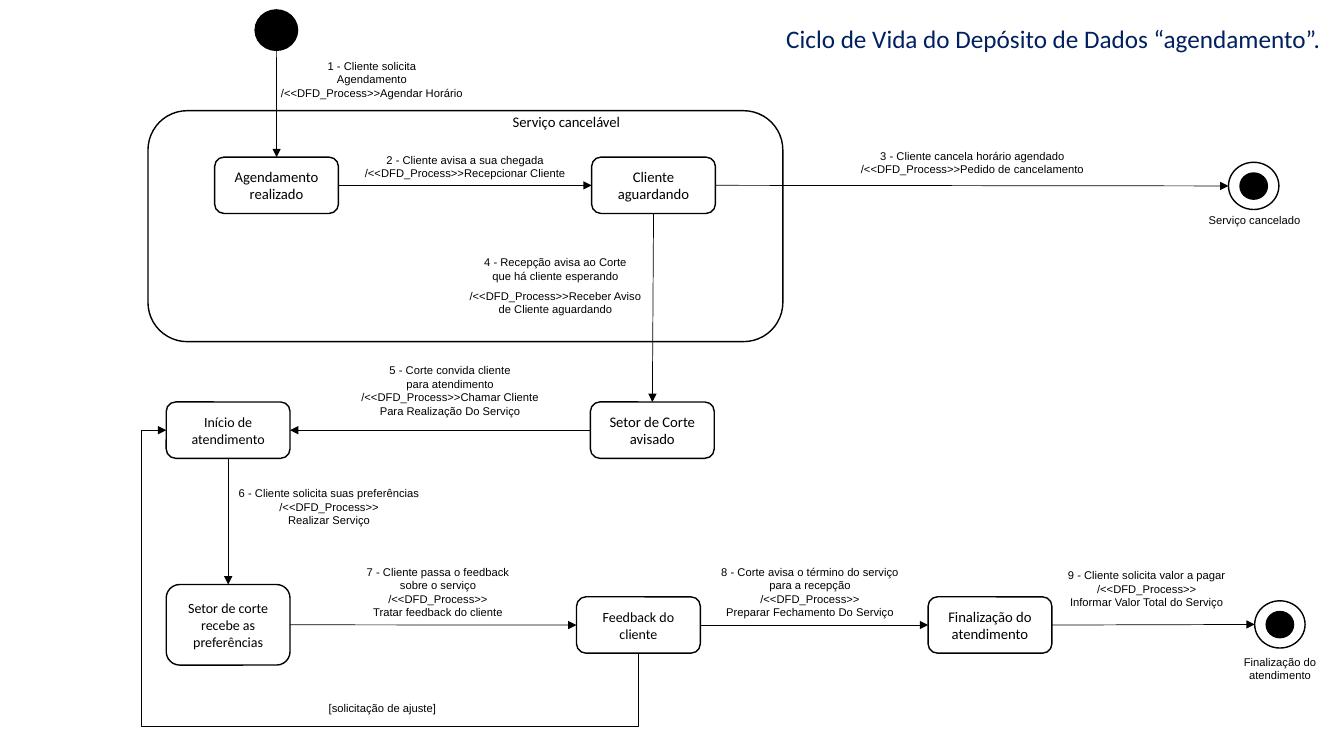
from lxml import etree
from pptx import Presentation
from pptx.dml.color import RGBColor
from pptx.enum.shapes import MSO_CONNECTOR as Connector, MSO_SHAPE as Shape
from pptx.enum.text import MSO_ANCHOR as Anchor, MSO_AUTO_SIZE as AutoSize, PP_ALIGN as Align
from pptx.oxml.ns import qn
from pptx.util import Cm, Pt

SITES = {"top": 0, "left": 1, "bottom": 2, "right": 3}


def color(value):
    return RGBColor.from_string(value)


def write(shape, text, size=8, font="Arial", ink="000000", align=Align.CENTER,
          anchor=Anchor.TOP, wrap=False, grow=True, spacing=None):
    """Fill a shape with one paragraph per line; spacing maps line index to line spacing."""
    frame = shape.text_frame
    frame.word_wrap = wrap
    frame.auto_size = AutoSize.SHAPE_TO_FIT_TEXT if grow else AutoSize.NONE
    frame.vertical_anchor = anchor
    for index, line in enumerate(text.split("\n")):
        paragraph = frame.add_paragraph() if index else frame.paragraphs[0]
        paragraph.alignment = align
        if spacing and index in spacing:
            paragraph.line_spacing = spacing[index]
        run = paragraph.add_run()
        run.text = line
        run.font.size = Pt(size)
        run.font.name = font
        run.font.color.rgb = color(ink)


def side_point(shape, side):
    middle_x = shape.left + shape.width // 2
    middle_y = shape.top + shape.height // 2
    return {
        "top": (middle_x, shape.top),
        "bottom": (middle_x, shape.top + shape.height),
        "left": (shape.left, middle_y),
        "right": (shape.left + shape.width, middle_y),
    }[side]


def is_state(shape):
    return shape.auto_shape_type == Shape.ROUNDED_RECTANGLE


class Diagram:
    """State diagram drawn in black ink on one slide; lengths in centimetres."""
    ink, paper, title_ink = "000000", "FFFFFF", "002060"
    heading_font = "Calibri"

    def __init__(self, slide):
        self.slide = slide
        self.shapes = slide.shapes

    def title(self, text, left, top, width, height):
        title = self.shapes.title
        title.left, title.top, title.width, title.height = map(Cm, (left, top, width, height))
        write(title, text, size=18, font=self.heading_font, ink=self.title_ink, align=Align.LEFT)

    def outline(self, kind, left, top, width, height, fill=None):
        shape = self.shapes.add_shape(kind, *map(Cm, (left, top, width, height)))
        shape.shadow.inherit = False
        if fill:
            shape.fill.solid()
            shape.fill.fore_color.rgb = color(fill)
        else:
            shape.fill.background()
        shape.line.color.rgb = color(self.ink)
        shape.line.width = Pt(1)
        return shape

    def state(self, text, left, top, height=1.42, size=10.5):
        shape = self.outline(Shape.ROUNDED_RECTANGLE, left, top, 3.12, height, self.paper)
        write(shape, text, size=size, font=self.heading_font, anchor=Anchor.MIDDLE,
              wrap=True, grow=False)
        return shape

    def dot(self, left, top, width, height):
        return self.outline(Shape.FLOWCHART_CONNECTOR, left, top, width, height, self.ink)

    def final(self, left, top):
        """Draw a dot inside a ring and return the ring."""
        self.dot(left + 0.29, top + 0.27, 0.69, 0.66)
        return self.outline(Shape.FLOWCHART_CONNECTOR, left, top, 1.27, 1.19)

    def label(self, text, left, top, width, fill=None, **text_format):
        height = 0.25 + 0.34 * (text.count("\n") + 1)
        box = self.shapes.add_textbox(*map(Cm, (left, top, width, height)))
        if fill:
            box.fill.solid()
            box.fill.fore_color.rgb = color(fill)
        write(box, text, **text_format)

    def connector(self, kind, begin, end):
        connector = self.shapes.add_connector(kind, *begin, *end)
        connector.line.color.rgb = color(self.ink)
        connector.line.width = Pt(0.5)
        properties = connector._element.spPr
        etree.SubElement(properties.find(qn("a:ln")), qn("a:tailEnd"), type="triangle")
        etree.SubElement(properties, qn("a:effectLst"))
        return connector

    def arrow(self, start, start_side, end, end_side):
        """Straight arrow between two sides, glued to the states it touches."""
        connector = self.connector(Connector.STRAIGHT, side_point(start, start_side),
                                   side_point(end, end_side))
        if is_state(start):
            connector.begin_connect(start, SITES[start_side])
        if is_state(end):
            connector.end_connect(end, SITES[end_side])

    def loop_back(self, start, end, drop, reach):
        """Elbow arrow from a bottom side, down by drop, left past end by reach, up into its left."""
        start_x, start_y = side_point(start, "bottom")
        end_x, end_y = side_point(end, "left")
        across, rise = start_x - end_x, start_y - end_y
        middle_x, middle_y = (start_x + end_x) // 2, (start_y + end_y) // 2
        # The elbow is laid out upright, then turned a quarter round its centre.
        connector = self.connector(
            Connector.ELBOW,
            (middle_x + rise // 2, middle_y - across // 2),
            (middle_x - rise // 2, middle_y + across // 2))
        properties = connector._element.spPr
        properties.find(qn("a:xfrm")).set("rot", "5400000")
        geometry = properties.find(qn("a:prstGeom"))
        geometry.set("prst", "bentConnector4")
        guides = geometry.find(qn("a:avLst"))
        if guides is None:
            guides = etree.SubElement(geometry, qn("a:avLst"))
        bends = {"adj1": -Cm(drop) / rise, "adj2": 1 + Cm(reach) / across}
        for name, share in bends.items():
            etree.SubElement(guides, qn("a:gd"), name=name, fmla=f"val {round(share * 100000)}")


def main():
    presentation = Presentation()
    presentation.slide_width, presentation.slide_height = Cm(33.87), Cm(19.05)
    diagram = Diagram(presentation.slides.add_slide(presentation.slide_layouts[5]))
    diagram.title("Ciclo de Vida do Depósito de Dados “agendamento”.", 19.56, 0.46, 14.15, 1.02)

    cancelable = diagram.outline(Shape.ROUNDED_RECTANGLE, 3.73, 2.79, 16, 5.82)
    cancelable.adjustments[0] = 0.17
    diagram.label("Serviço cancelável", 12.67, 2.72, 3.4, size=10.5,
                  font=diagram.heading_font, align=Align.LEFT)
    diagram.label("1 - Cliente solicita\nAgendamento\n/<<DFD_Process>>Agendar Horário",
                  6.81, 1.37, 5.13, fill=diagram.paper)

    initial = diagram.dot(6.43, 0.25, 1.07, 1.02)
    booked = diagram.state("Agendamento\nrealizado", 5.41, 3.96)
    waiting = diagram.state("Cliente\naguardando", 14.91, 3.96)
    notified = diagram.state("Setor de Corte\navisado", 14.88, 10.13)
    started = diagram.state("Início de atendimento", 4.19, 10.13, size=10)
    preferences = diagram.state("Setor de corte recebe as preferências", 4.19, 14.73, 2.03, 10)
    feedback = diagram.state("Feedback do\ncliente", 14.53, 15.04, size=10)
    finished = diagram.state("Finalização do\natendimento", 23.39, 15.04)
    canceled_end = diagram.final(30.96, 4.09)
    service_end = diagram.final(31.62, 15.14)

    for transition in (
        (initial, "bottom", booked, "top"),
        (booked, "right", waiting, "left"),
        (waiting, "right", canceled_end, "left"),
        (waiting, "bottom", notified, "top"),
        (notified, "left", started, "right"),
        (started, "bottom", preferences, "top"),
        (preferences, "right", feedback, "left"),
        (feedback, "right", finished, "left"),
        (finished, "right", service_end, "left"),
    ):
        diagram.arrow(*transition)
    diagram.loop_back(feedback, started, drop=1.85, reach=0.63)

    for label in (
        ("2 - Cliente avisa a sua chegada\n/<<DFD_Process>>Recepcionar Cliente", 8.92, 3.73, 5.61),
        ("3 - Cliente cancela horário agendado\n/<<DFD_Process>>Pedido de cancelamento",
         21.41, 3.63, 6.2),
        ("Serviço cancelado", 30.2, 5.26, 2.84),
        ("5 - Corte convida cliente\npara atendimento\n/<<DFD_Process>>Chamar Cliente\n"
         "Para Realização Do Serviço", 8.79, 9.04, 5.11),
        ("6 - Cliente solicita suas preferências\n/<<DFD_Process>>\nRealizar Serviço",
         5.74, 12.14, 5.11),
        ("7 - Cliente passa o feedback\nsobre o serviço\n/<<DFD_Process>>\n"
         "Tratar feedback do cliente", 8.92, 14.12, 4.24),
        ("8 - Corte avisa o término do serviço\npara a recepção\n/<<DFD_Process>>\n"
         "Preparar Fechamento Do Serviço", 17.86, 14.12, 5.11),
        ("[solicitação de ajuste]", 6.58, 17.55, 6.12),
        ("9 - Cliente solicita valor a pagar\n/<<DFD_Process>>\nInformar Valor Total do Serviço",
         26.64, 14.2, 4.52),
        ("Finalização do\natendimento", 31.04, 16.38, 2.44),
    ):
        diagram.label(*label)
    diagram.label("4 - Recepção avisa ao Corte\nque há cliente esperando\n"
                  "/<<DFD_Process>>Receber Aviso\nde Cliente aguardando",
                  11.51, 6.32, 4.98, spacing={2: 1.5})
    presentation.save("out.pptx")


if __name__ == "__main__":
    main()
